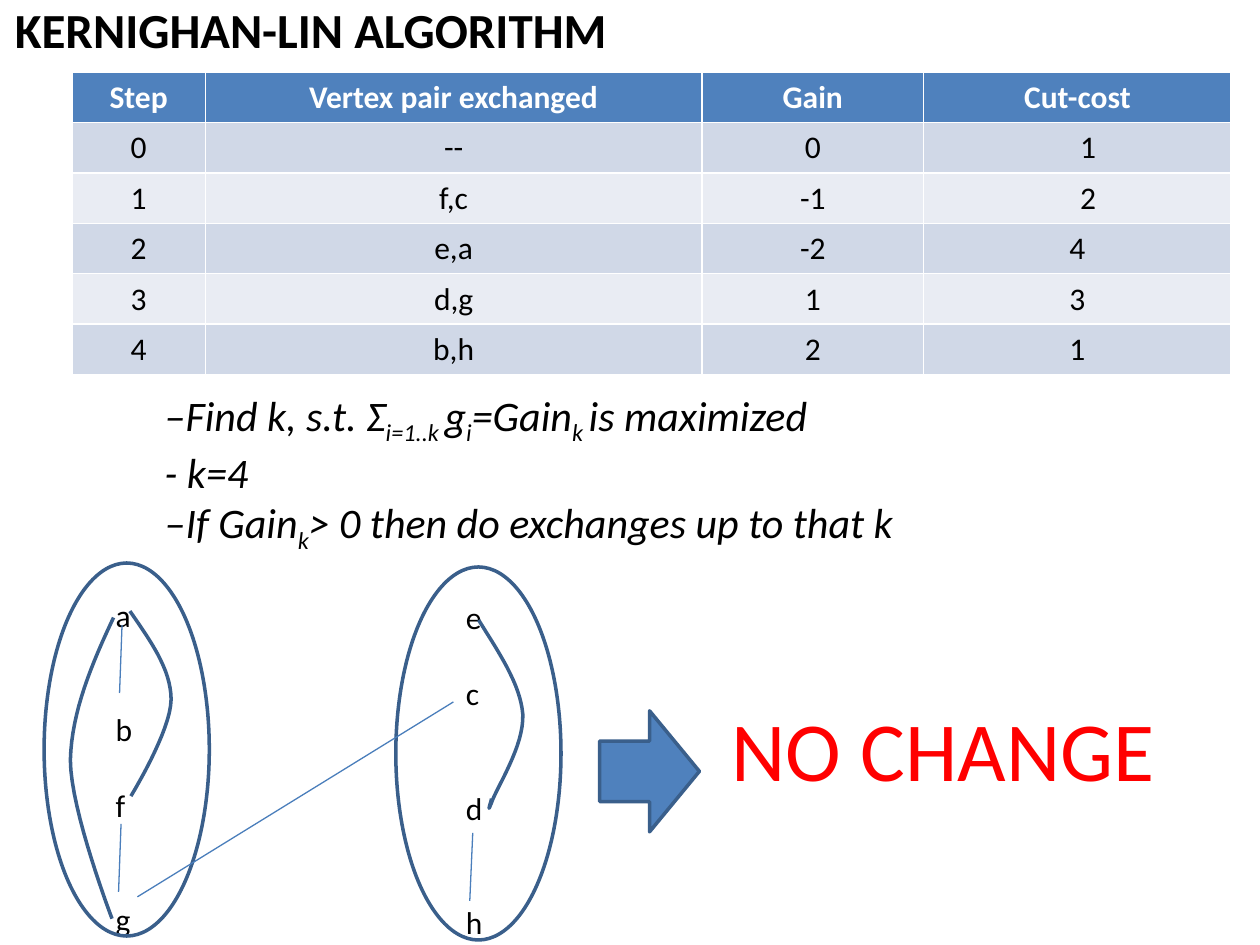
from dataclasses import dataclass

from lxml import etree
from pptx import Presentation
from pptx.dml.color import RGBColor
from pptx.enum.shapes import MSO_CONNECTOR, MSO_SHAPE
from pptx.enum.text import MSO_AUTO_SIZE, PP_ALIGN
from pptx.oxml.ns import qn
from pptx.util import Cm, Pt

ELLIPSE = MSO_SHAPE.OVAL
RIGHT_ARROW = MSO_SHAPE.RIGHT_ARROW
STRAIGHT = MSO_CONNECTOR.STRAIGHT
GROW = MSO_AUTO_SIZE.SHAPE_TO_FIT_TEXT
CENTER = PP_ALIGN.CENTER

COLORS = {
    "black": "000000",
    "white": "FFFFFF",
    "red": "FF0000",
    "accent": "4F81BD",
    "outline": "3A5F8B",
    "edge": "4A7EBB",
    "odd_row": "D0D8E7",
    "even_row": "E9ECF3",
}
LINE_HEIGHT = 0.77
CURVE_STEPS = 16
Point = tuple[float, float]


@dataclass(frozen=True)
class Box:
    left: float
    top: float
    width: float
    height: float

    def lengths(self) -> tuple[Cm, Cm, Cm, Cm]:
        return Cm(self.left), Cm(self.top), Cm(self.width), Cm(self.height)


@dataclass(frozen=True)
class Partition:
    label_box: Box
    ellipse_box: Box
    vertices: tuple[tuple[str, int], ...]


@dataclass(frozen=True)
class Edge:
    start: Point
    end: Point


@dataclass(frozen=True)
class Curve:
    points: tuple[Point, ...]


TITLE_FORMAT = {"size": Pt(28), "bold": True}
RULE_FORMAT = {"size": Pt(24), "italic": True}
LABEL_FORMAT = {"size": Pt(18)}
RESULT_FORMAT = {"size": Pt(48)}

TABLE_BOX = Box(1.45, 1.45, 23.37, 6.1)
COLUMN_WIDTHS = (2.69, 10.01, 4.47, 6.2)
TABLE_ROWS = (
    ("Step", "Vertex pair exchanged", "Gain", "Cut-cost"),
    ("0", "--", "0", "1"),
    ("1", "f,c", "-1", "2"),
    ("2", "e,a", "-2", "4"),
    ("3", "d,g", "1", "3"),
    ("4", "b,h", "2", "1"),
)
SHIFTED_CELLS = ((1, 3), (2, 3))

RULES = (
    (("–Find k, s.t. Σ", False), ("i=1..k ", True), ("g", False), ("i", True),
     ("=Gain", False), ("k ", True), ("is maximized", False)),
    (("- k=4", False),),
    (("–If Gain", False), ("k", True), ("> 0 then do exchanges up to that k", False)),
)

PARTITIONS = (
    Partition(Box(2.08, 11.89, 0.99, 7.11), Box(0.89, 11.35, 3.33, 7.52),
              (("a", 0), ("b", 2), ("f", 1), ("g", 2))),
    Partition(Box(9.14, 11.94, 0.99, 7.11), Box(7.98, 11.43, 3.33, 7.52),
              (("e", 0), ("c", 1), ("d", 2), ("h", 2))),
)
EDGES = (
    Edge((2.77, 18.08), (9.14, 14.15)),
    Edge((2.46, 12.6), (2.41, 13.97)),
    Edge((2.44, 16.61), (2.39, 17.98)),
    Edge((9.53, 16.79), (9.47, 18.16)),
)
CURVES = (
    Curve(((2.29, 12.45), (1.85, 13.39), (1.45, 14.33), (1.42, 15.32),
           (1.42, 16.33), (2.26, 18.52), (2.26, 18.52))),
    Curve(((9.65, 12.5), (10.06, 13.16), (10.49, 13.79), (10.54, 14.4),
           (10.57, 15.04), (10.01, 15.88), (9.91, 16.18),
           (9.8, 16.46), (9.91, 16.13), (9.91, 16.1))),
    Curve(((2.62, 12.32), (3.02, 12.9), (3.45, 13.49), (3.45, 14.1),
           (3.45, 14.73), (2.64, 16.05), (2.64, 16.05))),
)


def color(name: str) -> RGBColor:
    return RGBColor.from_string(COLORS[name])


def format_font(font, values: dict, color_name: str = "black") -> None:
    for attribute, value in {"name": "Calibri", **values}.items():
        setattr(font, attribute, value)
    font.color.rgb = color(color_name)


def add_text_frame(shapes, box: Box):
    frame = shapes.add_textbox(*box.lengths()).text_frame
    frame.word_wrap = True
    frame.auto_size = GROW
    return frame


def add_line_of_text(shapes, box: Box, text: str, values: dict, color_name: str) -> None:
    run = add_text_frame(shapes, box).paragraphs[0].add_run()
    run.text = text
    format_font(run.font, values, color_name)


def next_paragraph(frame, index: int):
    return frame.add_paragraph() if index else frame.paragraphs[0]


def add_rules(shapes, box: Box) -> None:
    frame = add_text_frame(shapes, box)
    frame.margin_left = Cm(2.79)
    for index, rule in enumerate(RULES):
        paragraph = next_paragraph(frame, index)
        for text, is_subscript in rule:
            run = paragraph.add_run()
            run.text = text
            format_font(run.font, RULE_FORMAT)
            if is_subscript:
                run._r.get_or_add_rPr().set("baseline", "-25000")


def add_gain_table(shapes) -> None:
    table = shapes.add_table(len(TABLE_ROWS), len(COLUMN_WIDTHS), *TABLE_BOX.lengths()).table
    for column, width in zip(table.columns, COLUMN_WIDTHS):
        column.width = Cm(width)
    for row_index, row in enumerate(TABLE_ROWS):
        is_header = row_index == 0
        fill_name = "accent" if is_header else ("even_row", "odd_row")[row_index % 2]
        for column_index, text in enumerate(row):
            cell = table.cell(row_index, column_index)
            cell.fill.solid()
            cell.fill.fore_color.rgb = color(fill_name)
            if (row_index, column_index) in SHIFTED_CELLS:
                cell.margin_left = Cm(0.68)
            paragraph = cell.text_frame.paragraphs[0]
            paragraph.alignment = CENTER
            run = paragraph.add_run()
            run.text = text
            format_font(run.font, {"size": Pt(18), "bold": is_header},
                        "white" if is_header else "black")


def style_outline(shape, fill_name: str | None = None) -> None:
    shape.shadow.inherit = False
    if fill_name:
        shape.fill.solid()
        shape.fill.fore_color.rgb = color(fill_name)
    else:
        shape.fill.background()
    shape.line.color.rgb = color("outline")
    shape.line.width = Pt(2)


def add_vertices(shapes, partition: Partition) -> None:
    frame = add_text_frame(shapes, partition.label_box)
    for index, (name, gap_lines) in enumerate(partition.vertices):
        paragraph = next_paragraph(frame, index)
        if gap_lines:
            paragraph.space_before = Cm(gap_lines * LINE_HEIGHT)
        run = paragraph.add_run()
        run.text = name
        format_font(run.font, LABEL_FORMAT)


def add_edge(shapes, edge: Edge) -> None:
    ends = [Cm(value) for value in edge.start + edge.end]
    connector = shapes.add_connector(STRAIGHT, *ends)
    connector.line.color.rgb = color("edge")
    connector.line.width = Pt(0.75)
    etree.SubElement(connector._element.spPr, qn("a:effectLst"))


def bezier_point(controls: tuple[Point, ...], t: float) -> tuple[Cm, Cm]:
    weights = ((1 - t) ** 3, 3 * t * (1 - t) ** 2, 3 * t * t * (1 - t), t ** 3)
    x, y = (sum(w * v for w, v in zip(weights, axis)) for axis in zip(*controls))
    return Cm(x), Cm(y)


def add_curve(shapes, curve: Curve) -> None:
    points = curve.points
    builder = shapes.build_freeform(*(Cm(value) for value in points[0]))
    vertices = [bezier_point(points[first:first + 4], step / CURVE_STEPS)
                for first in range(0, len(points) - 1, 3)
                for step in range(1, CURVE_STEPS + 1)]
    builder.add_line_segments(vertices, close=False)
    style_outline(builder.convert_to_shape())


def add_graph(shapes) -> None:
    for partition in PARTITIONS:
        add_vertices(shapes, partition)
        style_outline(shapes.add_shape(ELLIPSE, *partition.ellipse_box.lengths()))
    for edge in EDGES:
        add_edge(shapes, edge)
    for curve in CURVES:
        add_curve(shapes, curve)


def main() -> None:
    presentation = Presentation()
    presentation.slide_width, presentation.slide_height = Cm(25.4), Cm(19.05)
    shapes = presentation.slides.add_slide(presentation.slide_layouts[6]).shapes
    add_line_of_text(shapes, Box(0.05, -0.13, 21.95, 1.45), "KERNIGHAN-LIN ALGORITHM",
                     TITLE_FORMAT, "black")
    add_rules(shapes, Box(0.53, 7.72, 24.82, 3.58))
    add_graph(shapes.add_group_shape().shapes)
    style_outline(shapes.add_shape(RIGHT_ARROW, *Box(12.09, 14.33, 2.01, 2.44).lengths()), "accent")
    add_gain_table(shapes)
    add_line_of_text(shapes, Box(14.5, 13.94, 10.21, 2.29), "NO CHANGE", RESULT_FORMAT, "red")
    presentation.save("out.pptx")


if __name__ == "__main__":
    main()
